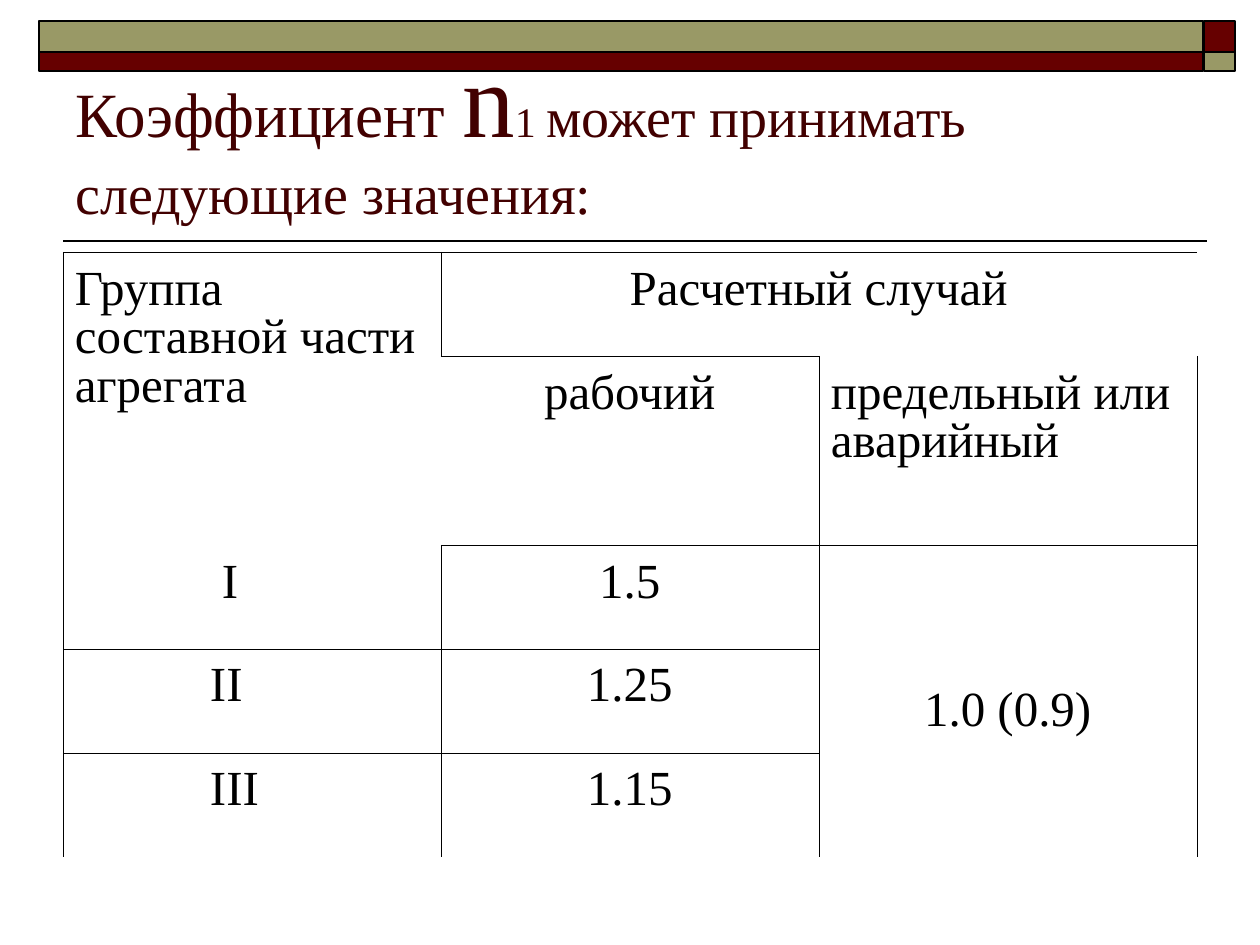
from lxml.etree import SubElement
from pptx import Presentation
from pptx.dml.color import RGBColor
from pptx.enum.shapes import MSO_CONNECTOR, MSO_SHAPE
from pptx.enum.text import MSO_ANCHOR, PP_ALIGN
from pptx.oxml.ns import qn
from pptx.util import Emu, Pt

BLACK = RGBColor(0x00, 0x00, 0x00)
MAROON = RGBColor(0x66, 0x00, 0x00)
OLIVE = RGBColor(0x99, 0x99, 0x66)
TITLE_COLOR = RGBColor(0x42, 0x00, 0x00)
FONT = "Times New Roman"
NO_STYLE = "{2D5ABB26-0587-4C30-8999-92F81FD0307C}"
HAIRLINE = Pt(0.06)

TITLE_RUNS = [
    ("Коэффициент", 36),
    (" ", 40),
    ("n", 60),
    ("1 ", 24),
    ("может принимать следующие значения:", 32),
]
COLUMN_WIDTH = 378
ROW_HEIGHTS = [104, 189, 104, 104, 104]
CELL_EDGES = [
    ["LTR", "LTB", "T"],
    ["L", "TRB", "LRB"],
    ["LRB", "LTRB", "LTR"],
    ["LTRB", "LTRB", "LR"],
    ["LTR", "LTR", "LR"],
]
MERGES = [((0, 0), (1, 0)), ((0, 1), (0, 2)), ((2, 2), (4, 2))]
HEADINGS = [
    (0, 0, "Группа составной части агрегата", PP_ALIGN.LEFT),
    (0, 1, "Расчетный случай", PP_ALIGN.CENTER),
    (1, 1, "рабочий", PP_ALIGN.CENTER),
    (1, 2, "предельный или аварийный", PP_ALIGN.LEFT),
]
GROUPS = [("I", 147, "1.5"), ("II", 135, "1.25"), ("III", 135, "1.15")]
LIMIT_VALUE = "1.0 (0.9)"


def px(length):
    """Turn a length in px into EMU."""
    return Emu(round(length * 914400 / 126))


def add_run(paragraph, text, size, color):
    """Append one formatted run to a paragraph."""
    run = paragraph.add_run()
    run.text = text
    run.font.name = FONT
    run.font.size = Pt(size)
    run.font.color.rgb = color


def add_banner(slide, left, top, width, height):
    """Draw the two-tone bars with their end blocks."""
    block, upper = 31, 31
    columns = [(0, width - block - 1), (width - block, block)]
    rows = [(0, upper), (upper, height - upper)]
    for row, (y, bar_height) in enumerate(rows):
        for column, (x, bar_width) in enumerate(columns):
            bar = slide.shapes.add_shape(
                MSO_SHAPE.RECTANGLE, px(left + x), px(top + y), px(bar_width), px(bar_height)
            )
            bar.shadow.inherit = False
            bar.fill.solid()
            bar.fill.fore_color.rgb = OLIVE if row == column else MAROON
            bar.line.color.rgb = BLACK
            bar.line.width = Pt(1)


def add_title(slide, left, top, width, height):
    """Place the title and the rule below it."""
    title = slide.shapes.add_textbox(px(left), px(top), px(width), px(height))
    frame = title.text_frame
    frame.word_wrap = True
    frame.vertical_anchor = MSO_ANCHOR.BOTTOM
    for text, size in TITLE_RUNS:
        add_run(frame.paragraphs[0], text, size, TITLE_COLOR)

    rule_y = px(top + height + 9)
    rule = slide.shapes.add_connector(
        MSO_CONNECTOR.STRAIGHT, px(left), rule_y, px(left + width + 10), rule_y
    )
    rule.line.color.rgb = BLACK
    rule.line.width = Pt(1)
    SubElement(rule._element.spPr, qn("a:effectLst"))


def set_edges(cell, edges):
    """Give a cell hairlines on the named sides and none elsewhere."""
    properties = cell._tc.get_or_add_tcPr()
    for side in "LRTB":
        edge = SubElement(properties, qn(f"a:ln{side}"), w=str(HAIRLINE))
        if side in edges:
            fill = SubElement(edge, qn("a:solidFill"))
            SubElement(fill, qn("a:srgbClr"), val=str(BLACK))
        else:
            SubElement(edge, qn("a:noFill"))
    cell.fill.background()


def write_cell(cell, text, align, indent=0):
    """Write one line of table text."""
    cell.margin_left = px(12 + indent)
    paragraph = cell.text_frame.paragraphs[0]
    paragraph.alignment = align
    paragraph.line_spacing = 0.9
    add_run(paragraph, text, 28, BLACK)


def add_values_table(slide, left, top, width, height):
    """Build the table of coefficient values."""
    frame = slide.shapes.add_table(
        len(ROW_HEIGHTS), 3, px(left), px(top), px(width), px(height)
    )
    table = frame.table
    table.first_row = table.horz_banding = False
    table._tbl.tblPr.find(qn("a:tableStyleId")).text = NO_STYLE
    for column in table.columns:
        column.width = px(COLUMN_WIDTH)
    for row, row_height, row_edges in zip(table.rows, ROW_HEIGHTS, CELL_EDGES):
        row.height = px(row_height)
        for cell, edges in zip(row.cells, row_edges):
            set_edges(cell, edges)
            cell.margin_top = px(14)
    for first, last in MERGES:
        table.cell(*first).merge(table.cell(*last))

    for row, column, text, align in HEADINGS:
        write_cell(table.cell(row, column), text, align)
    for row, (group, indent, value) in enumerate(GROUPS, start=2):
        write_cell(table.cell(row, 0), group, PP_ALIGN.LEFT, indent)
        write_cell(table.cell(row, 1), value, PP_ALIGN.CENTER)
    limit = table.cell(2, 2)
    write_cell(limit, LIMIT_VALUE, PP_ALIGN.CENTER)
    limit.vertical_anchor = MSO_ANCHOR.MIDDLE
    limit.margin_top = px(29)


def main():
    """Build and save the slide."""
    presentation = Presentation()
    presentation.slide_width = px(1260)
    presentation.slide_height = px(945)
    slide = presentation.slides.add_slide(presentation.slide_layouts[6])
    add_banner(slide, 39, 21, 1196, 50)
    add_title(slide, 63, 25, 1134, 207)
    add_values_table(slide, 63, 252, 3 * COLUMN_WIDTH, sum(ROW_HEIGHTS))
    presentation.save("out.pptx")


if __name__ == "__main__":
    main()
